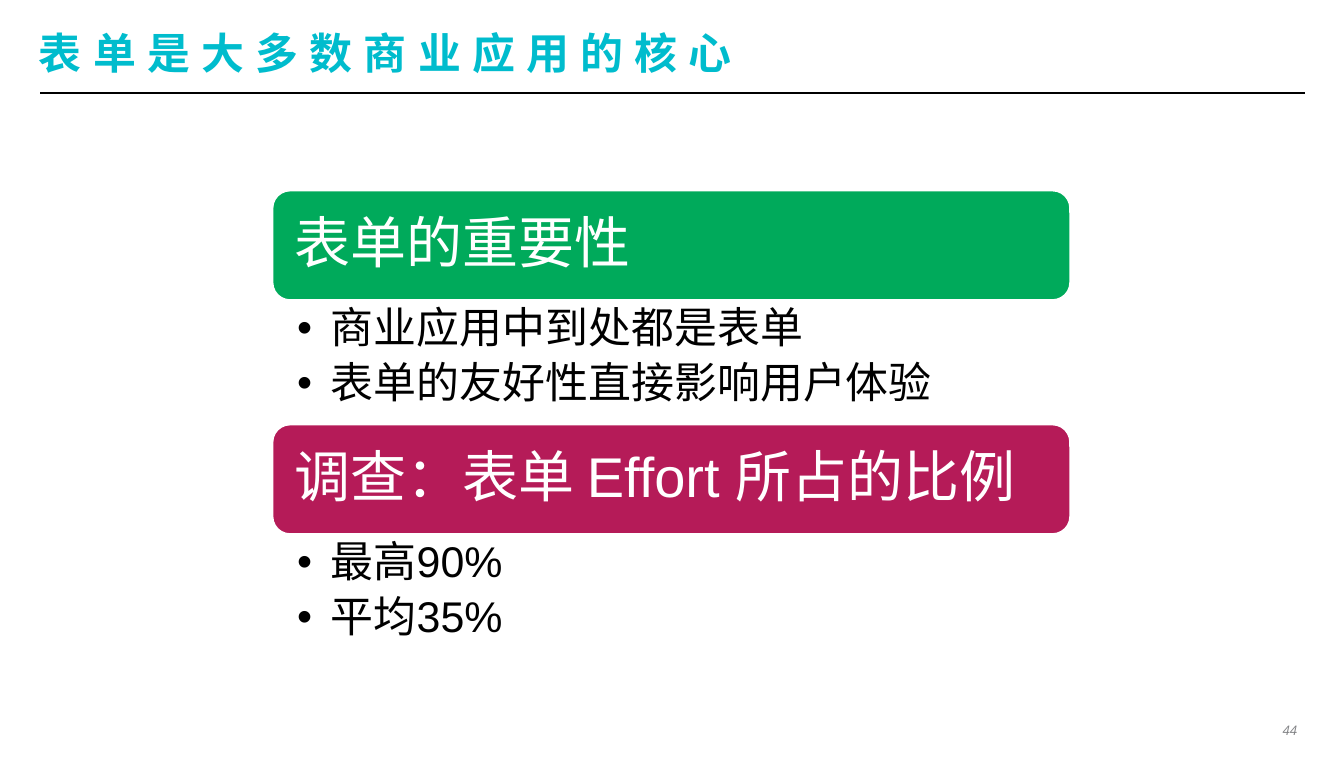
"""Build a slide on why forms are central to business applications."""
from lxml import etree
from pptx import Presentation
from pptx.dml.color import RGBColor
from pptx.enum import shapes, text
from pptx.oxml import ns
from pptx.util import Inches, Pt

COLORS = {
    "title": "00BCCD", "rule": "000000", "body": "000000", "white": "FFFFFF",
    "number": "808184", "green": "00AA5B", "magenta": "B51B58",
}
SECTIONS = [
    ("表单的重要性", "green", ["商业应用中到处都是表单", "表单的友好性直接影响用户体验"]),
    ("调查：表单 Effort 所占的比例", "magenta", ["最高90%", "平均35%"]),
]
LEFT, TOP, WIDTH = 2.02, 1.41, 5.95
HEADER_HEIGHT, LIST_HEIGHT, PITCH = 0.83, 0.92, 1.74


def color(name):
    return RGBColor.from_string(COLORS[name])


def place(shape, left, top, width, height):
    shape.left, shape.top = Inches(left), Inches(top)
    shape.width, shape.height = Inches(width), Inches(height)


def set_frame(frame, insets, anchor=text.MSO_ANCHOR.TOP):
    frame.margin_left, frame.margin_top, frame.margin_right, frame.margin_bottom = (
        Inches(inset) for inset in insets)
    frame.vertical_anchor = anchor
    frame.word_wrap = True


def style(target, size, color_name, face="Arial", bold=False, italic=False):
    font = target.font
    font.size, font.name = Pt(size), face
    font.bold, font.italic = bold, italic
    font.color.rgb = color(color_name)


def add_bullet(para):
    props = para._p.get_or_add_pPr()
    props.set("marL", str(Inches(0.25)))
    props.set("indent", str(-Inches(0.25)))
    etree.SubElement(props, ns.qn("a:buFont")).set("typeface", "Arial")
    etree.SubElement(props, ns.qn("a:buChar")).set("char", "•")


def add_title(page, words):
    title = page.shapes.title
    place(title, 0.29, 0.18, 9.41, 0.42)
    set_frame(title.text_frame, (0, 0, 0, 0), text.MSO_ANCHOR.MIDDLE)
    para = title.text_frame.paragraphs[0]
    span = para.add_run()
    span.text = words
    para.alignment = text.PP_ALIGN.LEFT
    face = "Noto Sans CJK JP"
    style(span, 23, "title", face, bold=True)
    props = span._r.get_or_add_rPr()
    props.set("spc", "600")
    etree.SubElement(props, ns.qn("a:ea")).set("typeface", face)


def add_rule(page):
    rule = page.shapes.add_connector(
        shapes.MSO_CONNECTOR.STRAIGHT,
        Inches(0.3), Inches(0.69), Inches(9.71), Inches(0.69))
    rule.line.color.rgb = color("rule")
    rule.line.width = Pt(1)
    etree.SubElement(rule._element.spPr, ns.qn("a:effectLst"))


def add_header(page, words, fill, top):
    header = page.shapes.add_shape(
        shapes.MSO_SHAPE.ROUNDED_RECTANGLE,
        Inches(LEFT), Inches(top), Inches(WIDTH), Inches(HEADER_HEIGHT))
    header.shadow.inherit = False
    header.fill.solid()
    header.fill.fore_color.rgb = color(fill)
    header.line.color.rgb = color("white")
    header.line.width = Pt(2)
    set_frame(header.text_frame, (0.13, 0.12, 0.12, 0.12), text.MSO_ANCHOR.MIDDLE)
    para = header.text_frame.paragraphs[0]
    para.text = words
    para.alignment = text.PP_ALIGN.LEFT
    para.line_spacing = 0.9
    style(para, 30, "white")


def add_list(page, items, top):
    box = page.shapes.add_textbox(
        Inches(LEFT), Inches(top), Inches(WIDTH), Inches(LIST_HEIGHT))
    frame = box.text_frame
    set_frame(frame, (0.19, 0.04, 0.23, 0.04))
    for index, item in enumerate(items):
        para = frame.add_paragraph() if index else frame.paragraphs[0]
        para.text = item
        para.line_spacing = 0.9
        para.space_after = Pt(4.6)
        add_bullet(para)
        style(para, 23, "body")


def add_page_number(page, number):
    box = page.shapes.add_textbox(
        Inches(9.4), Inches(5.34), Inches(0.31), Inches(0.17))
    set_frame(box.text_frame, (0, 0.03, 0.06, 0.03))
    para = box.text_frame.paragraphs[0]
    para.text = number
    para.alignment = text.PP_ALIGN.RIGHT
    style(para, 7, "number", "Open Sans", italic=True)


def main():
    deck = Presentation()
    deck.slide_width, deck.slide_height = Inches(10), Inches(5.63)
    page = deck.slides.add_slide(deck.slide_layouts[5])
    add_rule(page)
    add_title(page, "表单是大多数商业应用的核心")
    add_page_number(page, "44")
    for index, (heading, fill, items) in enumerate(SECTIONS):
        top = TOP + index * PITCH
        add_header(page, heading, fill, top)
        add_list(page, items, top + HEADER_HEIGHT)
    deck.save("out.pptx")


if __name__ == "__main__":
    main()
